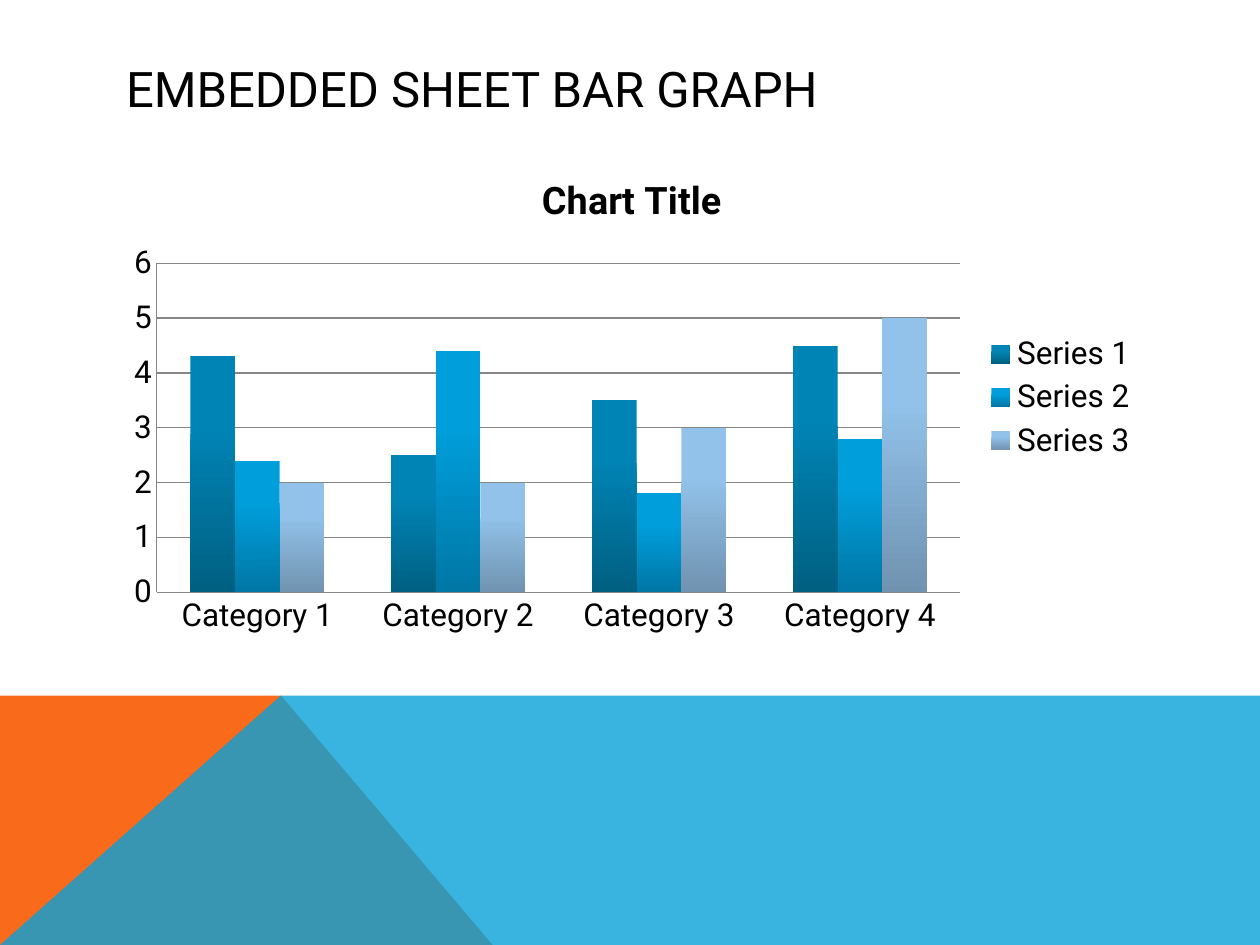
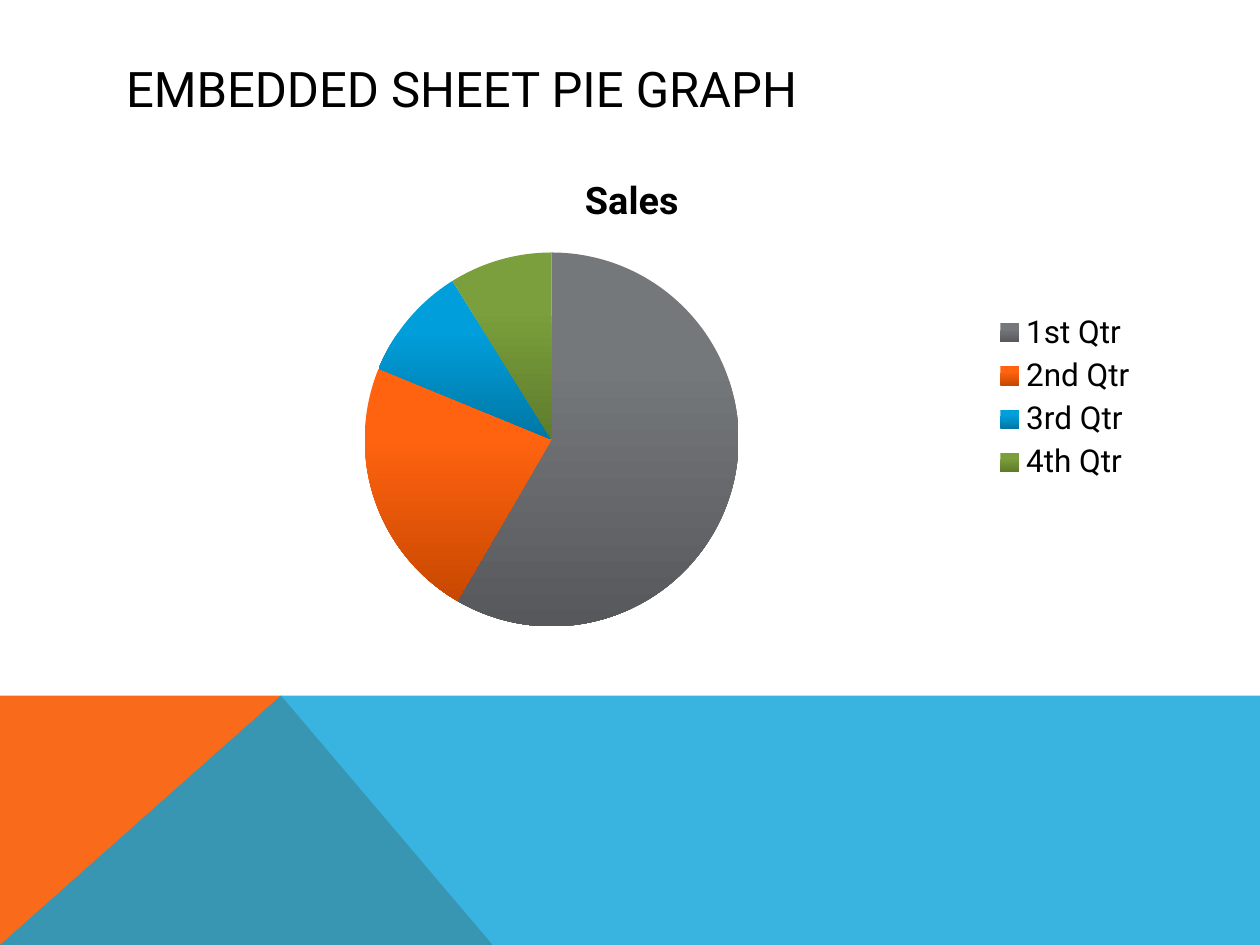
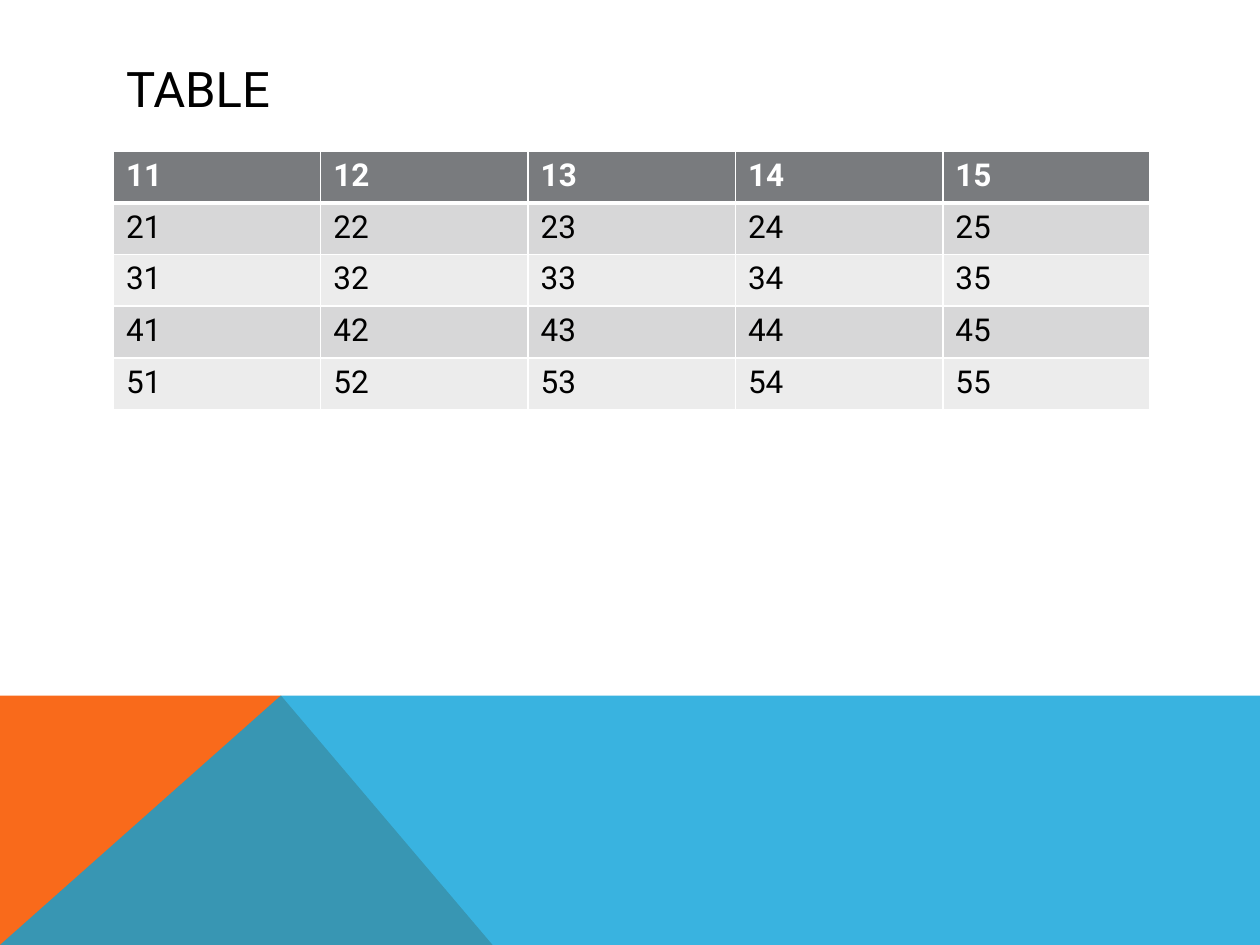
from lxml import etree
from pptx import Presentation
from pptx.chart.data import CategoryChartData
from pptx.dml.color import RGBColor
from pptx.enum.chart import XL_CHART_TYPE, XL_LEGEND_POSITION, XL_TICK_MARK
from pptx.enum.text import MSO_ANCHOR, PP_ALIGN
from pptx.oxml.ns import qn
from pptx.util import Inches, Pt

COLUMNS, PIE = XL_CHART_TYPE.COLUMN_CLUSTERED, XL_CHART_TYPE.PIE
LEGEND_RIGHT = XL_LEGEND_POSITION.RIGHT
NO_TICK = XL_TICK_MARK.NONE
MIDDLE, LEFT = MSO_ANCHOR.MIDDLE, PP_ALIGN.LEFT

FONT = "Roboto"
BLACK = RGBColor(0x00, 0x00, 0x00)
WHITE = RGBColor(0xFF, 0xFF, 0xFF)
ORANGE = RGBColor(0xF9, 0x6A, 0x1B)
BLUE = RGBColor(0x08, 0xA1, 0xD9)
GRAY = RGBColor(0x79, 0x7B, 0x7E)
AXIS_GRAY = RGBColor(0x86, 0x86, 0x86)
ROW_DARK = RGBColor(0xD7, 0xD7, 0xD8)
ROW_LIGHT = RGBColor(0xEC, 0xEC, 0xEC)
DEEP_SHADES = (RGBColor(0x00, 0x84, 0xB5), RGBColor(0x00, 0x60, 0x82))
BLUE_SHADES = (RGBColor(0x00, 0x9F, 0xDC), RGBColor(0x00, 0x77, 0xA5))
PALE_SHADES = (RGBColor(0x92, 0xC2, 0xEA), RGBColor(0x70, 0x93, 0xB0))
GRAY_SHADES = (RGBColor(0x75, 0x78, 0x7B), RGBColor(0x57, 0x58, 0x5B))
ORANGE_SHADES = (RGBColor(0xFF, 0x63, 0x10), RGBColor(0xC8, 0x48, 0x00))
GREEN_SHADES = (RGBColor(0x7B, 0x9F, 0x3C), RGBColor(0x5F, 0x7C, 0x2C))

BAR_GRAPH = {
    "heading": "EMBEDDED SHEET BAR GRAPH",
    "title": "Chart Title",
    "categories": ["Category 1", "Category 2", "Category 3", "Category 4"],
    "series": [
        ("Series 1", (4.3, 2.5, 3.5, 4.5)),
        ("Series 2", (2.4, 4.4, 1.8, 2.8)),
        ("Series 3", (2, 2, 3, 5)),
    ],
    "shades": [DEEP_SHADES, BLUE_SHADES, PALE_SHADES],
}
PIE_GRAPH = {
    "heading": "EMBEDDED SHEET PIE GRAPH",
    "title": "Sales",
    "categories": ["1st Qtr", "2nd Qtr", "3rd Qtr", "4th Qtr"],
    "series": [("Sales", (59, 23, 10, 9))],
    "shades": [GRAY_SHADES, ORANGE_SHADES, BLUE_SHADES, GREEN_SHADES],
}
TABLE_HEADING = "TABLE"
TABLE_ROWS = [[f"{row}{column}" for column in range(1, 6)] for row in range(1, 6)]

WIDTH, HEIGHT = Inches(10), Inches(7.5)
MARGIN, CONTENT_TOP = Inches(0.9), Inches(1.2)
CONTENT_WIDTH, CHART_HEIGHT = Inches(8.23), Inches(3.91)
ROW_HEIGHT = Inches(0.41)
BAND_TOP, PEAK, FOOT = Inches(5.52), Inches(2.23), Inches(3.91)
BANDS = [
    ([(0, HEIGHT), (0, BAND_TOP), (PEAK, BAND_TOP), (FOOT, HEIGHT)], ORANGE, 100),
    ([(0, HEIGHT), (PEAK, BAND_TOP), (WIDTH, BAND_TOP), (WIDTH, HEIGHT)], BLUE, 80),
]


def style_font(font, size, color=BLACK, bold=False):
    font.name = FONT
    font.size = Pt(size)
    font.bold = bold
    font.color.rgb = color


def add_bands(slide, layout):
    for points, color, opacity in BANDS:
        outline = slide.shapes.build_freeform(*points[0])
        outline.add_line_segments(points[1:], close=True)
        band = outline.convert_to_shape()
        band.shadow.inherit = False
        band.line.fill.background()
        band.fill.solid()
        band.fill.fore_color.rgb = color
        if opacity < 100:
            tint = band.element.spPr.find(qn("a:solidFill"))[0]
            etree.SubElement(tint, qn("a:alpha"), val=str(opacity * 1000))
        layout.shapes.element.append(band.element)


def add_titled_slide(heading):
    slide = deck.slides.add_slide(layout)
    title = slide.shapes.title
    title.left, title.top = MARGIN, Inches(0.4)
    title.width, title.height = CONTENT_WIDTH, Inches(0.6)
    title.text_frame.text = heading
    title.text_frame.vertical_anchor = MIDDLE
    paragraph = title.text_frame.paragraphs[0]
    paragraph.alignment = LEFT
    style_font(paragraph.runs[0].font, 28)
    return slide


def shade(fill, shades):
    fill.gradient()
    fill.gradient_angle = 270
    for stop, color, position in zip(fill.gradient_stops, shades, (0.3, 1)):
        stop.color.rgb = color
        stop.position = position


def add_graph(graph, kind):
    slide = add_titled_slide(graph["heading"])
    data = CategoryChartData()
    data.categories = graph["categories"]
    for name, values in graph["series"]:
        data.add_series(name, values)
    chart = slide.shapes.add_chart(
        kind, MARGIN, CONTENT_TOP, CONTENT_WIDTH, CHART_HEIGHT, data
    ).chart
    style_font(chart.font, 18)
    chart.has_title = True
    chart.chart_title.include_in_layout = False
    chart.chart_title.text_frame.text = graph["title"]
    style_font(chart.chart_title.text_frame.paragraphs[0].runs[0].font, 21.6, bold=True)
    chart.has_legend = True
    chart.legend.position = LEGEND_RIGHT
    chart.legend.include_in_layout = False
    style_font(chart.legend.font, 18)
    return chart


def style_axes(chart):
    for axis in (chart.category_axis, chart.value_axis):
        axis.major_tick_mark = axis.minor_tick_mark = NO_TICK
        axis.format.line.color.rgb = AXIS_GRAY
        axis.format.line.width = Pt(0.75)
        style_font(axis.tick_labels.font, 18)
    scale = chart.value_axis
    scale.minimum_scale, scale.maximum_scale, scale.major_unit = 0, 6, 1
    scale.has_major_gridlines = True
    scale.major_gridlines.format.line.color.rgb = AXIS_GRAY
    scale.major_gridlines.format.line.width = Pt(0.75)


def add_borders(cell, widths):
    properties = cell._tc.get_or_add_tcPr()
    for position, (side, width) in enumerate(widths.items()):
        border = etree.Element(qn(f"a:{side}"), w=str(Pt(width)))
        fill = etree.SubElement(border, qn("a:solidFill"))
        etree.SubElement(fill, qn("a:srgbClr"), val=str(WHITE))
        properties.insert(position, border)


def add_grid(slide, rows):
    table = slide.shapes.add_table(
        len(rows), len(rows[0]), MARGIN, CONTENT_TOP, CONTENT_WIDTH, ROW_HEIGHT * len(rows)
    ).table
    for r, row in enumerate(rows):
        table.rows[r].height = ROW_HEIGHT
        header = r == 0
        background = GRAY if header else ROW_DARK if r % 2 else ROW_LIGHT
        widths = {"lnL": 1, "lnR": 1, "lnT": 3 if r == 1 else 1, "lnB": 3 if header else 1}
        for c, text in enumerate(row):
            cell = table.cell(r, c)
            cell.text_frame.text = text
            style_font(
                cell.text_frame.paragraphs[0].runs[0].font, 18, WHITE if header else BLACK, header
            )
            cell.fill.solid()
            cell.fill.fore_color.rgb = background
            add_borders(cell, widths)


deck = Presentation()
deck.slide_width, deck.slide_height = WIDTH, HEIGHT
layout = deck.slide_layouts[5]

bar_chart = add_graph(BAR_GRAPH, COLUMNS)
add_bands(deck.slides[0], layout)
style_axes(bar_chart)
bar_plot = bar_chart.plots[0]
bar_plot.gap_width, bar_plot.overlap = 150, 0
bar_plot.vary_by_categories = False
for series, shades in zip(bar_plot.series, BAR_GRAPH["shades"]):
    shade(series.format.fill, shades)

pie_plot = add_graph(PIE_GRAPH, PIE).plots[0]
pie_plot.vary_by_categories = True
for index, shades in enumerate(PIE_GRAPH["shades"]):
    shade(pie_plot.series[0].points[index].format.fill, shades)

add_grid(add_titled_slide(TABLE_HEADING), TABLE_ROWS)

deck.save("out.pptx")
